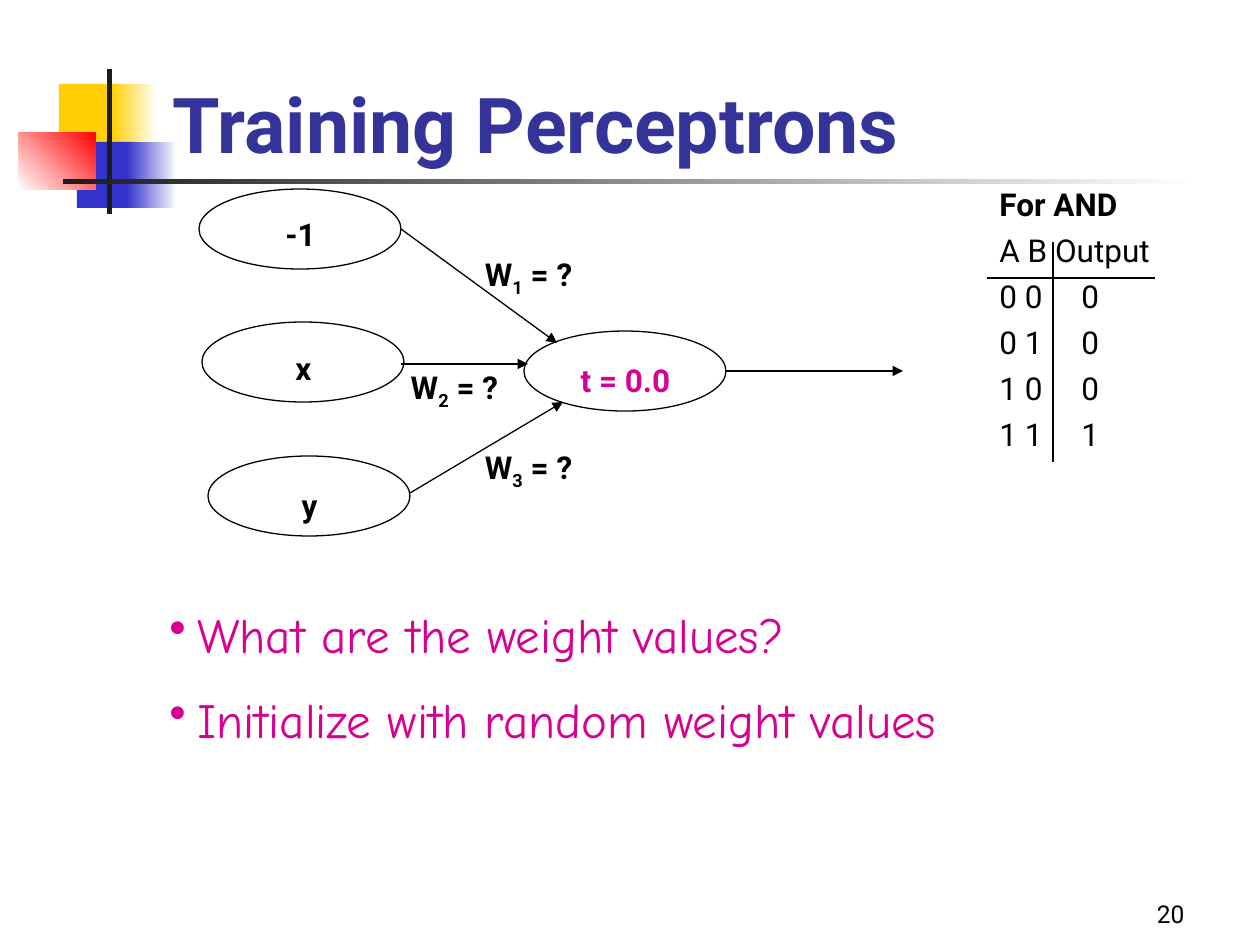
from lxml import etree
from pptx import Presentation
from pptx.dml.color import RGBColor
from pptx.enum.shapes import MSO_CONNECTOR, MSO_SHAPE
from pptx.enum.text import MSO_ANCHOR, PP_ALIGN
from pptx.oxml.ns import qn
from pptx.util import Inches, Pt

RECT, OVAL = MSO_SHAPE.RECTANGLE, MSO_SHAPE.OVAL
STRAIGHT = MSO_CONNECTOR.STRAIGHT
TOP, BOTTOM = MSO_ANCHOR.TOP, MSO_ANCHOR.BOTTOM
LEFT, CENTER, RIGHT = PP_ALIGN.LEFT, PP_ALIGN.CENTER, PP_ALIGN.RIGHT

BLACK = RGBColor(0x00, 0x00, 0x00)
WHITE = RGBColor(0xFF, 0xFF, 0xFF)
INK = RGBColor(0x1C, 0x1C, 0x1C)
YELLOW = RGBColor(0xFF, 0xCF, 0x01)
BLUE = RGBColor(0x33, 0x33, 0xCC)
RED = RGBColor(0xFF, 0x00, 0x00)
NAVY = RGBColor(0x33, 0x33, 0x99)
PINK = RGBColor(0xD6, 0x00, 0x93)

SANS, HAND = "Roboto", "Comic Neue"
SCALE = Inches(10) / 1260
NODE_W, NODE_H = 202, 80
LABEL_W, LABEL_H = 175, 38
HANG = 28
TAB = 82


def px(n):
    return round(n * SCALE)


def add_xml(parent, tag, **attrs):
    return etree.SubElement(parent, qn(tag), attrs)


def add_shape(slide, kind, box, fill, line=None):
    shape = slide.shapes.add_shape(kind, *map(px, box))
    shape.shadow.inherit = False
    shape.fill.solid()
    shape.fill.fore_color.rgb = fill
    if line is None:
        shape.line.fill.background()
    else:
        shape.line.color.rgb = line
        shape.line.width = Pt(0.75)
    return shape


def add_fade(slide, box, start, end, angle=0):
    """Add a rectangle filled with a two-colour gradient."""
    fill = add_shape(slide, RECT, box, start).fill
    fill.gradient()
    fill.gradient_angle = angle
    for stop, color in zip(fill.gradient_stops, (start, end)):
        stop.color.rgb = color


def style(run, size, color, bold=False, face=SANS):
    font = run.font
    font.name, font.size, font.bold = face, Pt(size), bold
    font.color.rgb = color


def add_text(slide, box, text, size, color=BLACK, bold=False, face=SANS,
             align=LEFT, anchor=TOP):
    frame = slide.shapes.add_textbox(*map(px, box)).text_frame
    frame.word_wrap = True
    frame.vertical_anchor = anchor
    frame.text = text
    for para in frame.paragraphs:
        para.alignment = align
        for run in para.runs:
            style(run, size, color, bold, face)
    return frame


def add_label(slide, x, y, text, color=BLACK):
    return add_text(slide, (x, y, LABEL_W, LABEL_H), text, 18, color,
                    bold=True, align=CENTER)


def add_node(slide, x, y, text, drop, color=BLACK):
    """Add an ellipse with its label, drop px below the ellipse's top."""
    add_shape(slide, OVAL, (x, y, NODE_W, NODE_H), WHITE, BLACK)
    add_label(slide, x + 14, y + drop, text, color)


def add_weight(slide, x, y, index):
    para = add_label(slide, x, y, "W").paragraphs[0]
    for text in (index, " = ?"):
        run = para.add_run()
        run.text = text
        style(run, 18, BLACK, bold=True)
    para.runs[1].font._element.set("baseline", "-25000")


def add_line(slide, start, end, arrow=False):
    line = slide.shapes.add_connector(STRAIGHT, *map(px, start + end))
    line.line.color.rgb = BLACK
    line.line.width = Pt(0.75)
    if arrow:
        add_xml(line.line._get_or_add_ln(), "a:tailEnd", type="triangle")
    add_xml(line._element.spPr, "a:effectLst")


def add_bullet(slide, y, width, text):
    frame = add_text(slide, (157, y, width, 72), text, 28, PINK, face=HAND)
    props = frame.paragraphs[0]._p.get_or_add_pPr()
    props.set("marL", str(px(HANG)))
    props.set("indent", str(-px(HANG)))
    color = add_xml(props, "a:buClr")
    add_xml(color, "a:srgbClr", val=str(PINK))
    add_xml(props, "a:buChar", char="•")


def add_truth(slide):
    """Add the truth table for AND, with its two rules."""
    rows = ["For AND", "A B Output"]
    rows += [f"{a} {b}\t{a & b}" for a in (0, 1) for b in (0, 1)]
    frame = add_text(slide, (987, 189, 178, 296), "\n".join(rows), 18)
    for i, para in enumerate(frame.paragraphs):
        para.line_spacing = 0.7
        if i:
            para.space_before = Pt(11.2)
        tabs = add_xml(para._p.get_or_add_pPr(), "a:tabLst")
        add_xml(tabs, "a:tab", pos=str(px(TAB)), algn="l")
    frame.paragraphs[0].runs[0].font.bold = True
    add_line(slide, (987, 278), (1155, 278))
    add_line(slide, (1053, 242), (1053, 462))


def add_decor(slide):
    add_shape(slide, RECT, (59, 84, 60, 66), YELLOW)
    add_fade(slide, (112, 84, 45, 66), YELLOW, WHITE)
    add_shape(slide, RECT, (77, 142, 58, 66), BLUE)
    add_fade(slide, (127, 142, 50, 66), BLUE, WHITE)
    add_fade(slide, (19, 132, 77, 58), WHITE, RED, 45)
    add_shape(slide, RECT, (107, 69, 5, 145), INK)
    add_fade(slide, (63, 179, 1134, 5), INK, WHITE)


def add_net(slide):
    add_node(slide, 524, 331, "t = 0.0", 24, PINK)
    add_node(slide, 199, 189, "-1", 20)
    add_node(slide, 202, 322, "x", 21)
    add_node(slide, 208, 456, "y", 24)
    for start, end in (((401, 229), (557, 343)), ((401, 364), (528, 364)),
                       ((410, 493), (563, 402)), ((726, 371), (903, 371))):
        add_line(slide, start, end, arrow=True)
    add_weight(slide, 441, 249, "1")
    add_weight(slide, 367, 362, "2")
    add_weight(slide, 441, 442, "3")


def main():
    deck = Presentation()
    deck.slide_width, deck.slide_height = Inches(10), Inches(7.5)
    slide = deck.slides.add_slide(deck.slide_layouts[6])
    add_decor(slide)
    add_text(slide, (935, 872, 262, 63), "20", 14, align=RIGHT, anchor=BOTTOM)
    add_text(slide, (160, 63, 1074, 112), "Training Perceptrons", 44, NAVY,
             bold=True, anchor=BOTTOM)
    add_net(slide)
    add_truth(slide)
    add_bullet(slide, 598, 819, "What are the weight values?")
    add_bullet(slide, 683, 945, "Initialize with random weight values")
    deck.save("out.pptx")


if __name__ == "__main__":
    main()
